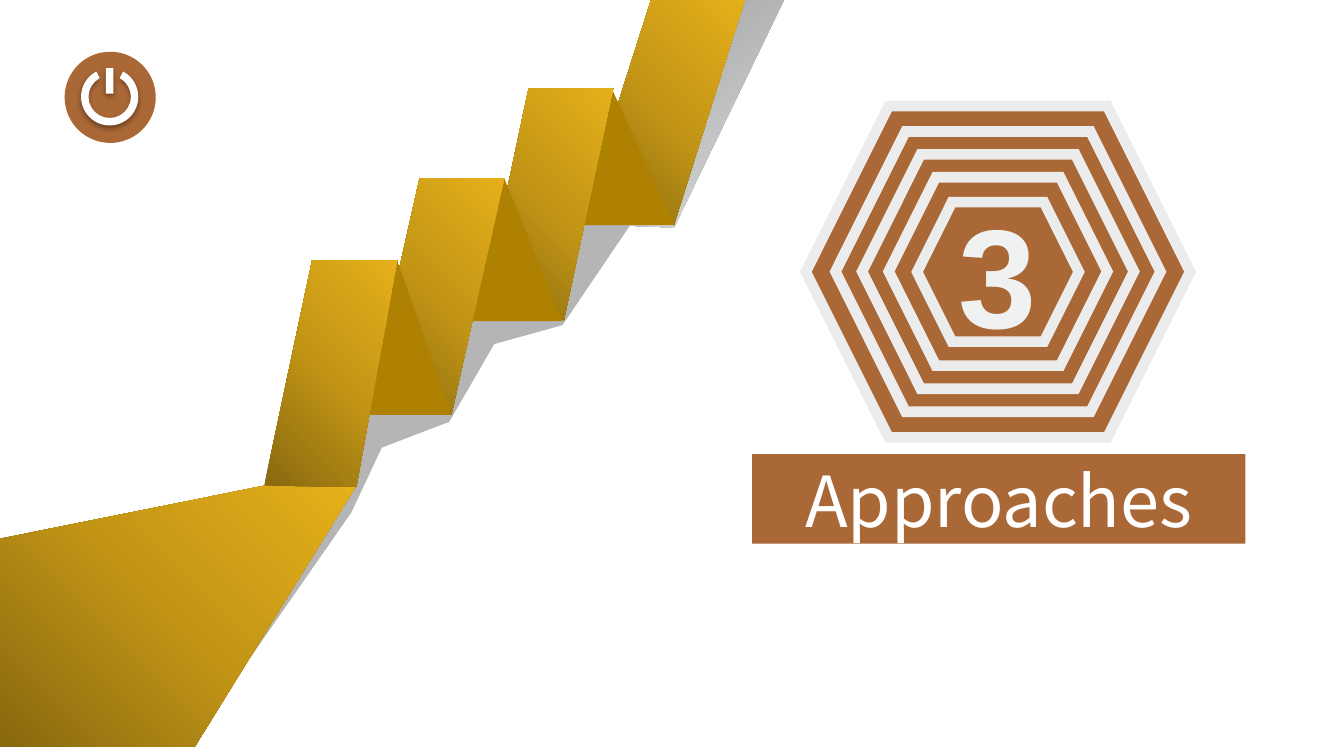
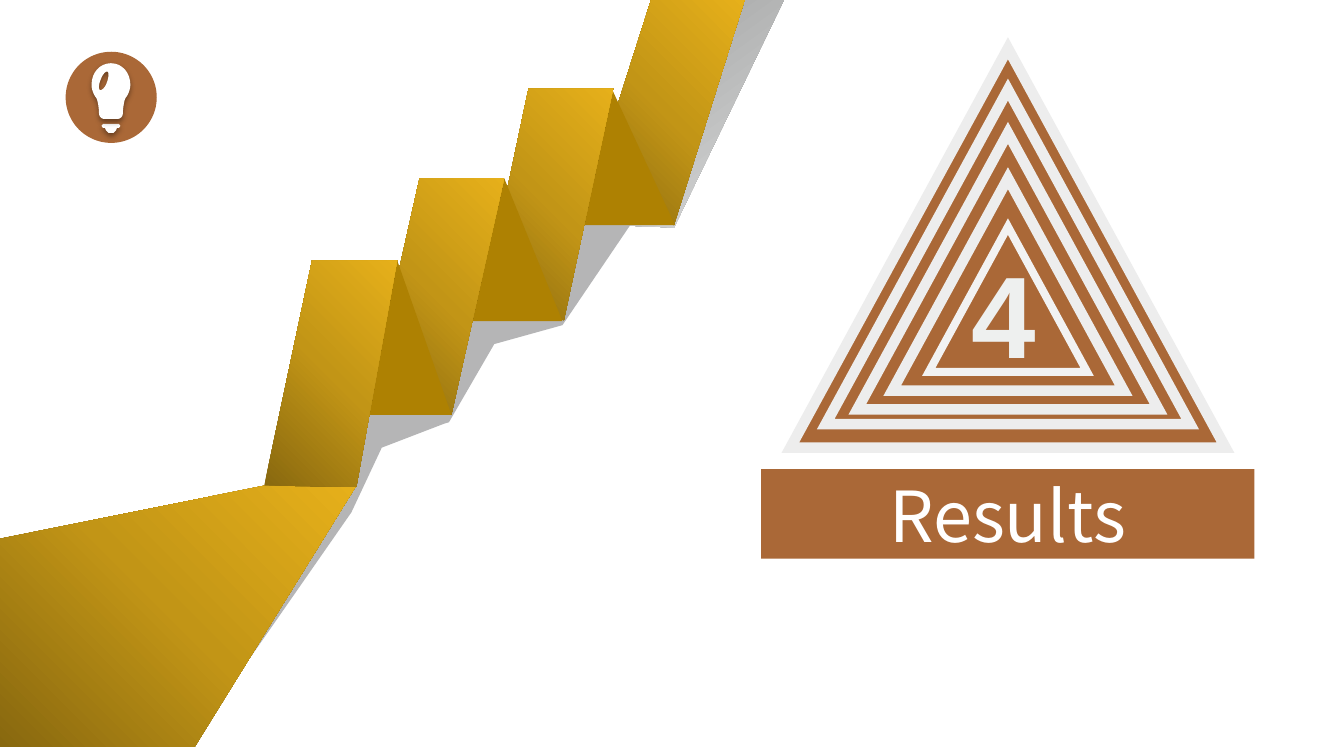
from dataclasses import dataclass

from lxml import etree
from pptx import Presentation
from pptx.dml.color import RGBColor
from pptx.enum import shapes, text
from pptx.oxml.ns import qn
from pptx.util import Cm, Pt


@dataclass(frozen=True)
class Theme:
    brand: str = "AA6837"
    white: str = "FFFFFF"
    fold: str = "AE8102"
    ground_shadow: str = "B5B5B6"
    gold: tuple = ((0, "88680F"), (50, "C29516"), (100, "E6B01A"))
    gold_angle: int = 45
    silver: tuple = ((0, "9FA0A0"), (100, "DBDCDC"))
    silver_angle: int = 306
    heading_font: str = "Noto Sans CJK SC"
    number_font: str = "Arial"
    heading_size: int = 40


THEME = Theme()
SHAPE = shapes.MSO_SHAPE

# Staircase outlines in cm, back to front
TOP_SHADOW = [(12.27, 4.52), (13.56, 0), (15.75, 0), (13.54, 4.57)]
GROUND_SHADOW = [
    (11.3, 6.53), (12.73, 4.42), (13.61, 3.91), (13.13, 3.05), (11.73, 3.81),
    (11.05, 4.98), (10.97, 5.11), (9.75, 5.61), (8.94, 6.93), (7.8, 7.44),
    (5.72, 10.62), (2.39, 12.29), (0, 14.88), (3.78, 15), (7.06, 10.29),
    (7.67, 8.99), (8.92, 8.51), (9.02, 8.48), (9.93, 6.91),
]
# Each step is a gold tread and the dark fold below it
STEPS = [
    ([(11.79, 4.04), (13.08, 0), (14.96, 0), (13.54, 4.52)],
     [(12.29, 1.78), (13.56, 4.52), (11.66, 4.52)]),
    ([(9.73, 5.97), (10.62, 1.78), (12.32, 1.78), (11.33, 6.43)],
     [(10.13, 3.58), (11.3, 6.45), (9.42, 6.45)]),
    ([(7.47, 7.85), (8.43, 3.58), (10.13, 3.58), (9.07, 8.33)],
     [(7.98, 5.23), (9.07, 8.33), (7.16, 8.33)]),
]
PATHWAY = [(0, 15), (0, 10.82), (5.33, 9.75), (7.14, 9.78), (3.91, 15)]
FIRST_TREAD = [(5.31, 9.75), (6.27, 5.23), (7.98, 5.23), (7.16, 9.78)]

# Light bulb: right halves are mirrored at the axis
BULB_AXIS = 2.23
BULB_TOP = (2.23, 1.27)
BULB_CURVES = [
    ((2.46, 1.27), (2.62, 1.47), (2.62, 1.7)),
    ((2.62, 1.85), (2.53, 1.96), (2.53, 1.96)),
    ((2.49, 2.01), (2.47, 2.2), (2.47, 2.27)),
    ((2.47, 2.34), (2.42, 2.39), (2.36, 2.39)),
]
GLINT_START = (2.14, 1.44)
GLINT_CURVES = [
    ((2.1, 1.45), (2.05, 1.52), (2.02, 1.61)),
    ((1.98, 1.7), (1.98, 1.8), (2.01, 1.81)),
    ((2.05, 1.82), (2.12, 1.75), (2.15, 1.65)),
    ((2.19, 1.55), (2.19, 1.45), (2.16, 1.44)),
]
BULB_CAP = [(2.39, 2.49), (2.42, 2.53), (2.39, 2.57), (2.35, 2.57),
            (2.33, 2.62), (2.28, 2.67)]


def color(value):
    return RGBColor.from_string(value)


def sub(parent, tag, **attributes):
    return etree.SubElement(parent, qn(tag), attributes)


def paint(shape, fill):
    """Give a plain fill, no line and no shadow."""
    shape.shadow.inherit = False
    shape.fill.solid()
    shape.fill.fore_color.rgb = color(fill)
    shape.line.fill.background()


def paint_gradient(shape, stops, angle):
    shape.fill.gradient()
    shape.fill.gradient_angle = angle
    stop_list = next(shape._element.iter(qn("a:gsLst")))
    for old_stop in list(stop_list):
        stop_list.remove(old_stop)
    for position, value in stops:
        stop = sub(stop_list, "a:gs", pos=str(position * 1000))
        sub(stop, "a:srgbClr", val=value)


def outline(shape, value, width):
    """Draw a line with pointed corners."""
    shape.line.color.rgb = color(value)
    shape.line.width = Pt(width)
    sub(next(shape._element.iter(qn("a:ln"))), "a:miter", lim="800000")


def drop_shadow(shape):
    effects = next(shape._element.iter(qn("a:effectLst")))
    shadow = sub(effects, "a:outerShdw", blurRad=str(Pt(3.1)),
                 dist=str(Pt(1.6)), dir="5400000", algn="t", rotWithShape="0")
    sub(sub(shadow, "a:srgbClr", val="000000"), "a:alpha", val="38000")


def add_preset(slide, preset, left, top, width, height, fill=THEME.brand):
    shape = slide.shapes.add_shape(
        preset, Cm(left), Cm(top), Cm(width), Cm(height))
    paint(shape, fill)
    return shape


def add_outline(slide, fill, *contours):
    """Draw closed contours as one shape; a contour inside another is a hole."""
    builder = None
    for contour in contours:
        (x, y), *others = [(Cm(x), Cm(y)) for x, y in contour]
        if builder is None:
            builder = slide.shapes.build_freeform(x, y, scale=1.0)
        else:
            builder.move_to(x, y)
        builder.add_line_segments(others, close=True)
    shape = builder.convert_to_shape()
    paint(shape, fill)
    return shape


def trace(start, curves, steps=8):
    """Return points along a chain of cubic Bézier curves."""
    points = [start]
    for first, second, end in curves:
        begin = points[-1]
        for step in range(1, steps + 1):
            t = step / steps
            weights = ((1 - t) ** 3, 3 * t * (1 - t) ** 2,
                       3 * t * t * (1 - t), t ** 3)
            knots = (begin, first, second, end)
            points.append(tuple(
                sum(weight * knot[axis] for weight, knot in zip(weights, knots))
                for axis in (0, 1)))
    return points


def mirrored(points):
    return points + [(2 * BULB_AXIS - x, y) for x, y in reversed(points)]


def write(shape, words, font, size, value, bold=False):
    frame = shape.text_frame
    frame.text = words
    paragraph = frame.paragraphs[0]
    paragraph.alignment = text.PP_ALIGN.CENTER
    run_font = paragraph.runs[0].font
    run_font.name = font
    run_font.size = Pt(size)
    run_font.bold = bold
    run_font.color.rgb = color(value)


def add_staircase(slide):
    def gold(points):
        shape = add_outline(slide, THEME.fold, points)
        paint_gradient(shape, THEME.gold, THEME.gold_angle)

    top_shadow = add_outline(slide, THEME.ground_shadow, TOP_SHADOW)
    paint_gradient(top_shadow, THEME.silver, THEME.silver_angle)
    add_outline(slide, THEME.ground_shadow, GROUND_SHADOW)
    for tread, fold in STEPS:
        gold(tread)
        add_outline(slide, THEME.fold, fold)
    gold(PATHWAY)
    gold(FIRST_TREAD)


def add_badge(slide, left):
    add_preset(slide, SHAPE.OVAL, left, 1.04, 1.83, 1.83)


def add_power_icon(slide):
    add_badge(slide, 1.3)
    stem = add_preset(slide, SHAPE.RECTANGLE, 2.13, 1.37, 0.15, 0.51,
                      THEME.white)
    ring = add_preset(slide, SHAPE.BLOCK_ARC, 1.63, 1.37, 1.15, 1.15,
                      THEME.white)
    # Angles are stored in 60000ths of a degree, adjustments in 100000ths
    ring.adjustments[0] = 298 * 0.6
    ring.adjustments[1] = 242 * 0.6
    ring.adjustments[2] = 0.13
    for part in (stem, ring):
        drop_shadow(part)


def add_bulb_icon(slide):
    add_badge(slide, 1.32)
    glass = mirrored(trace(BULB_TOP, BULB_CURVES))
    glint = trace(GLINT_START, GLINT_CURVES)
    drop_shadow(add_outline(slide, THEME.white, mirrored(BULB_CAP)))
    drop_shadow(add_outline(slide, THEME.white, glass, glint))


def add_rings(slide, preset, center, ratio, rings, line):
    """Nest shapes given as (width, top); return the innermost."""
    for width, top in rings:
        shape = add_preset(slide, preset, center - width / 2, top,
                           width, width / ratio)
        outline(shape, line, 6)
    return shape


def add_hexagon_emblem(slide):
    rings = [(7.72, 2.13), (6.53, 2.64), (5.46, 3.1), (4.39, 3.56),
             (3.25, 4.06)]
    core = add_rings(slide, SHAPE.HEXAGON, 20.05, 1.16, rings, "ECECEC")
    core.text_frame.vertical_anchor = text.MSO_ANCHOR.MIDDLE
    write(core, "3", THEME.number_font, 80, "F0F2F1", bold=True)


def add_triangle_emblem(slide):
    rings = [(8.74, 0.97), (7.32, 1.8), (6.05, 2.67), (4.65, 3.58),
             (3.18, 4.55)]
    core = add_rings(slide, SHAPE.FLOWCHART_EXTRACT, 20.25, 1.09, rings,
                     "EDEDED")
    core.line.color.rgb = color("F2F2F2")
    core.line.width = Pt(4.5)
    number = slide.shapes.add_textbox(Cm(19.25), Cm(4.75), Cm(1.83), Cm(2.84))
    number.text_frame.word_wrap = False
    number.text_frame.auto_size = text.MSO_AUTO_SIZE.SHAPE_TO_FIT_TEXT
    write(number, "4", THEME.number_font, 66, "EEF0EF", bold=True)


def add_heading(slide, words, left, top):
    bar = add_preset(slide, SHAPE.RECTANGLE, left, top, 9.91, 1.8)
    bar.text_frame.vertical_anchor = text.MSO_ANCHOR.MIDDLE
    write(bar, words, THEME.heading_font, THEME.heading_size, THEME.white)


def add_section(presentation, add_icon, add_emblem, heading, left, top):
    slide = presentation.slides.add_slide(presentation.slide_layouts[6])
    add_emblem(slide)
    add_heading(slide, heading, left, top)
    add_icon(slide)
    add_staircase(slide)


def main():
    presentation = Presentation()
    presentation.slide_width = Cm(27)
    presentation.slide_height = Cm(15)
    add_section(presentation, add_power_icon, add_hexagon_emblem,
                "Approaches", 15.11, 9.12)
    add_section(presentation, add_bulb_icon, add_triangle_emblem,
                "Results", 15.29, 9.42)
    presentation.save("out.pptx")


if __name__ == "__main__":
    main()
